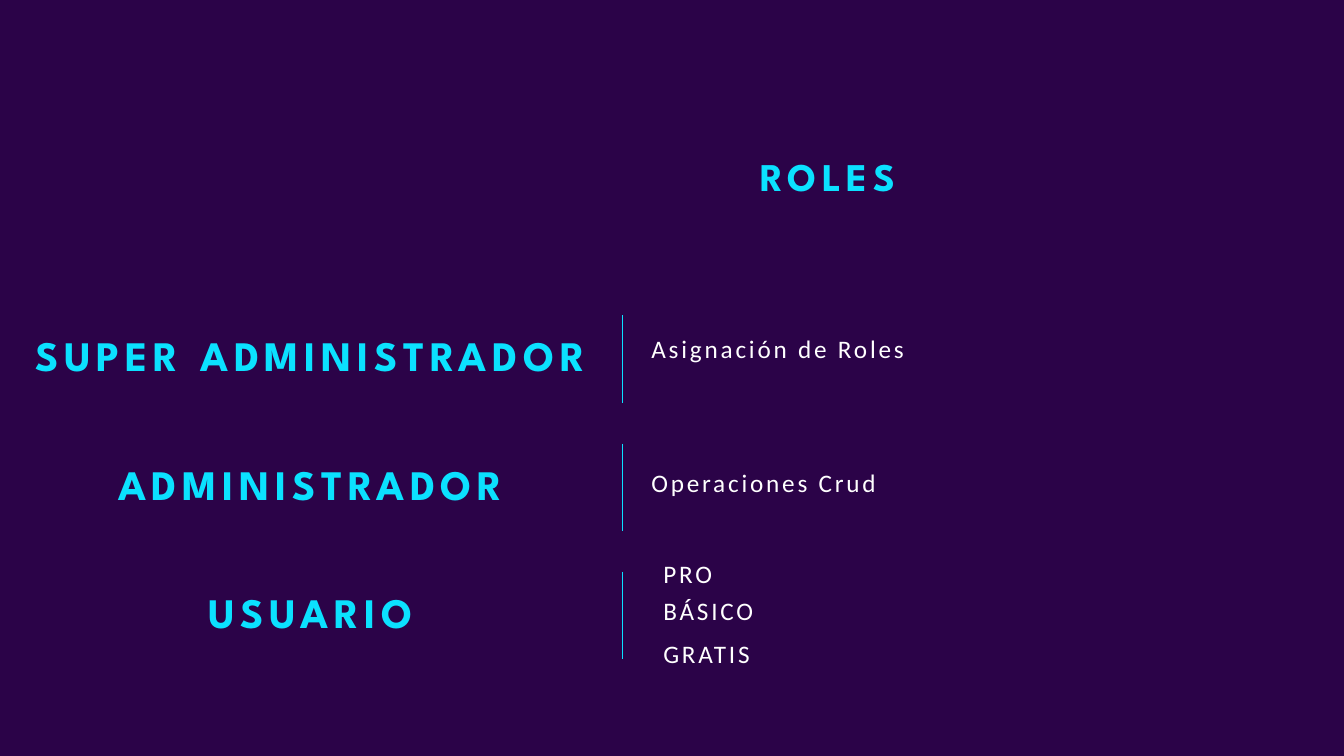
from lxml.etree import SubElement as Sub
from pptx import Presentation
from pptx.dml.color import RGBColor as RGB
from pptx.enum.shapes import MSO_CONNECTOR as Conn
from pptx.enum.text import MSO_ANCHOR as Anchor, MSO_AUTO_SIZE as Auto, PP_ALIGN as Align
from pptx.oxml.ns import qn
from pptx.util import Inches, Pt

COLORS = {"back": "2B0348", "cyan": "0BE1FF", "white": "FFFFFF"}


def write(shape, box, text, size, head=True, anchor=Anchor.TOP):
    shape.left, shape.top, shape.width, shape.height = map(Inches, box)
    frame = shape.text_frame
    frame.text = text
    frame.word_wrap = True
    frame.auto_size = Auto.NONE
    frame.vertical_anchor = anchor
    para = frame.paragraphs[0]
    props = para._p.get_or_add_pPr()
    props.set("marL", "0")
    props.set("indent", "0")
    Sub(props, qn("a:buNone"))
    para.alignment = Align.CENTER if head else Align.LEFT
    para.line_spacing = 0.9
    para.space_before = Pt(0)
    run = para.runs[0]
    run.font.size = Pt(size)
    run.font.bold = head
    run.font.name = "League Spartan" if head else "Calibri"
    run.font.color.rgb = RGB.from_string(COLORS["cyan" if head else "white"])
    run._r.get_or_add_rPr().set("spc", "400" if head else "200")


deck = Presentation()
deck.slide_width, deck.slide_height = Inches(13.33), Inches(7.5)
slide = deck.slides.add_slide(deck.slide_layouts[4])
shapes = slide.shapes
fill = slide.background.fill
fill.solid()
fill.fore_color.rgb = RGB.from_string(COLORS["back"])

write(shapes.title, (4.37, 1.51, 7.84, 1), "ROLES ", 28)

bodies = [item for item in slide.placeholders if item.placeholder_format.idx > 0]
bodies.append(shapes.add_textbox(0, 0, 0, 0))
roles = ["SUPER ADMINISTRADOR", "ADMINISTRADOR", "USUARIO"]
for row, (role, body) in enumerate(zip(roles, bodies[::2])):
    top = 2.97 + 1.275 * row
    write(body, (0, top, 6.16, 1.17), role, 30, anchor=Anchor.MIDDLE)
    start = 3.13 + 1.27 * row
    line = shapes.add_connector(
        Conn.STRAIGHT, Inches(6.17), Inches(start), Inches(6.17), Inches(start + 0.87)
    )
    line.line.color.rgb = RGB.from_string(COLORS["cyan"])
    line.line.width = Pt(0.5)
    Sub(line._element.spPr, qn("a:effectLst"))

tasks = [("Asignación de Roles", 3.29, 6.04), ("Operaciones Crud", 4.62, 3.98)]
for (task, top, width), body in zip(tasks, bodies[1::2]):
    write(body, (6.36, top, width, 0.42), task, 18, head=False)

plans = [("PRO", 5.52), ("BÁSICO", 5.89), ("GRATIS", 6.32)]
for plan, top in plans:
    label = shapes.add_textbox(0, 0, 0, 0)
    write(label, (6.48, top, 3.98, 0.42), plan, 18, head=False)

deck.save("out.pptx")
